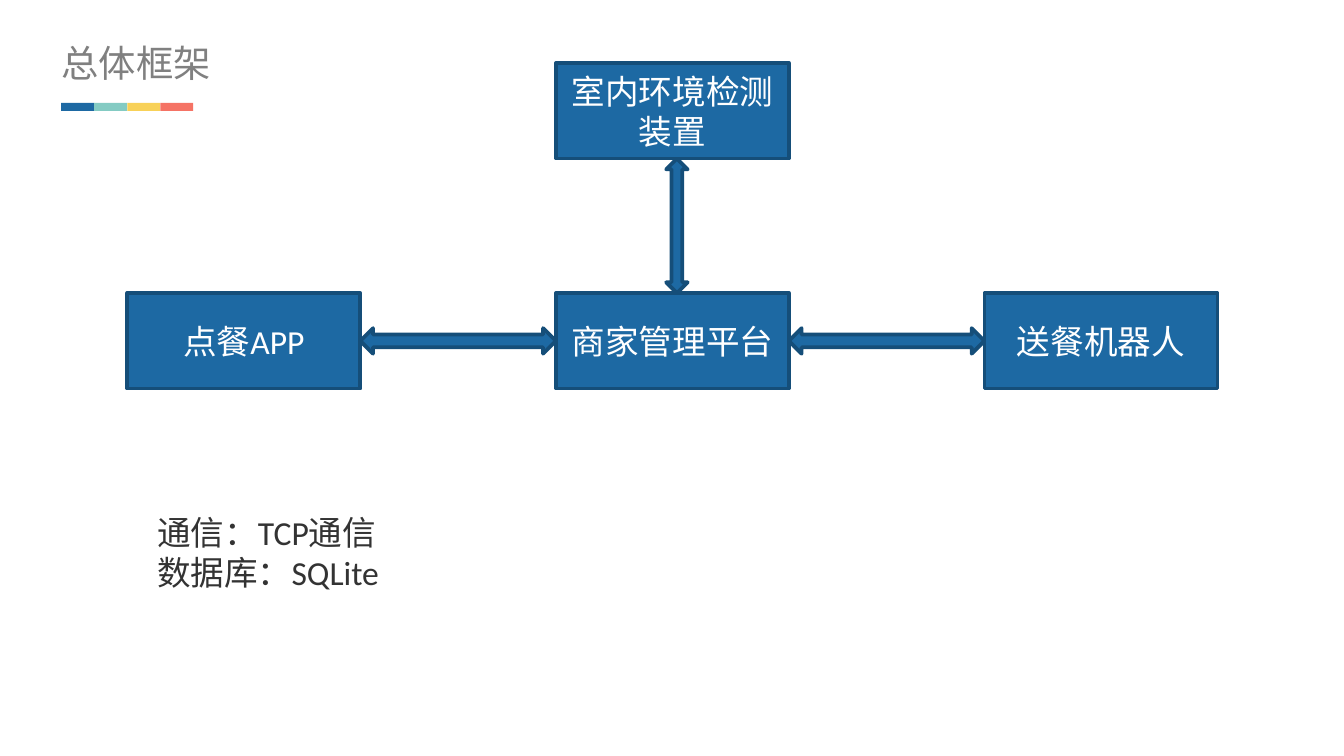
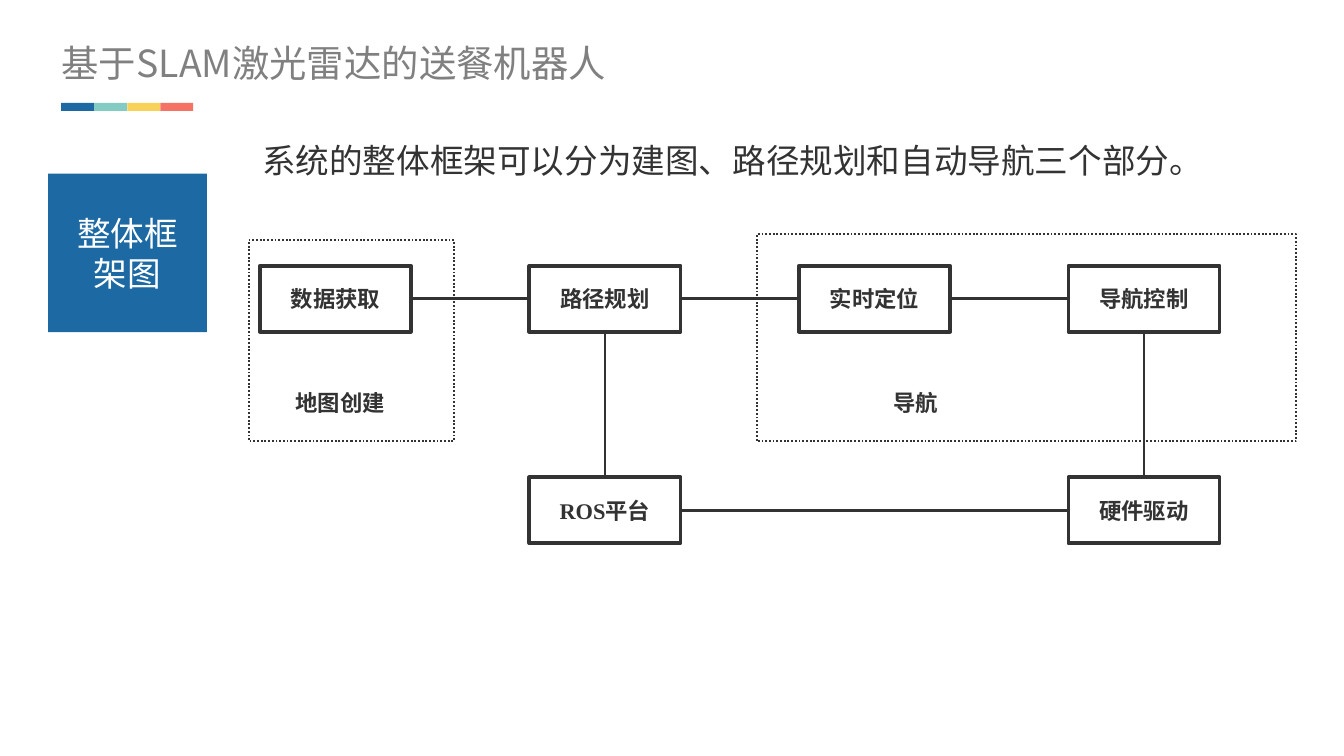
from dataclasses import dataclass

import pptx
import pptx.dml.color
import pptx.enum.dml
import pptx.enum.shapes
import pptx.enum.text
import pptx.oxml.xmlchemy
import pptx.util
from lxml import etree
from pptx.oxml import ns

Pt = pptx.util.Pt
SHAPE = pptx.enum.shapes.MSO_SHAPE
ALIGN = pptx.enum.text.PP_ALIGN
ANCHOR = pptx.enum.text.MSO_ANCHOR
TOP, LEFT, BOTTOM, RIGHT = range(4)


@dataclass(frozen=True)
class Theme:
    blue: str = "1D69A3"
    dark_blue: str = "154E79"
    white: str = "FFFFFF"
    text: str = "333333"
    connector: str = "323232"
    title: str = "808080"
    strip: tuple = ("1D69A3", "84CBC3", "F8D158", "F57365")
    title_size: float = 20
    body_size: float = 18
    node_size: float = 12
    title_font: str = "Noto Sans CJK SC"
    body_font: str = "Calibri"
    node_font: str = "Times New Roman"


THEME = Theme()


def color(value):
    return pptx.dml.color.RGBColor.from_string(value)


def write_text(shape, lines, size, value, font=THEME.body_font, bold=False,
               align=ALIGN.LEFT, anchor=ANCHOR.TOP):
    frame = shape.text_frame
    frame.text = "\n".join(lines)
    frame.word_wrap = True
    frame.auto_size = pptx.enum.text.MSO_AUTO_SIZE.NONE
    frame.vertical_anchor = anchor
    for paragraph in frame.paragraphs:
        paragraph.alignment = align
        paragraph.space_before = Pt(0)
        paragraph.font.name = font
        paragraph.font.size = Pt(size)
        paragraph.font.bold = bold
        paragraph.font.color.rgb = color(value)


def place(shape, left, top, width, height):
    shape.left, shape.top = Pt(left), Pt(top)
    shape.width, shape.height = Pt(width), Pt(height)


def add_block(shapes, kind, left, top, width, height, fill=None, line=None, weight=2):
    shape = shapes.add_shape(kind, Pt(left), Pt(top), Pt(width), Pt(height))
    shape.shadow.inherit = False
    if fill:
        shape.fill.solid()
        shape.fill.fore_color.rgb = color(fill)
    else:
        shape.fill.background()
    if line:
        shape.line.color.rgb = color(line)
        shape.line.width = Pt(weight)
    else:
        shape.line.fill.background()
    return shape


def add_blue_box(slide, text, left, top, width, height, line=None):
    box = add_block(slide.shapes, SHAPE.RECTANGLE, left, top, width, height, THEME.blue, line)
    write_text(box, [text], THEME.body_size, THEME.white,
               align=ALIGN.CENTER, anchor=ANCHOR.MIDDLE)


def add_arrow(slide, kind, left, top, width, height):
    add_block(slide.shapes, kind, left, top, width, height, THEME.blue, THEME.dark_blue)


def add_node(slide, text, left, top, width, height):
    node = add_block(slide.shapes, SHAPE.RECTANGLE, left, top, width, height,
                     THEME.white, THEME.text)
    write_text(node, [text], THEME.node_size, THEME.text, THEME.node_font, True,
               ALIGN.CENTER, ANCHOR.MIDDLE)
    return node


def add_link(slide, start, start_site, end, end_site):
    link = slide.shapes.add_connector(pptx.enum.shapes.MSO_CONNECTOR.STRAIGHT, 0, 0, 0, 0)
    link.begin_connect(start, start_site)
    link.end_connect(end, end_site)
    link.line.color.rgb = color(THEME.connector)
    link.line.width = Pt(1.5)
    properties = link._element.find(ns.qn("p:spPr"))
    etree.SubElement(properties, ns.qn("a:effectLst"))


def add_caption(slide, text, left, top):
    caption = slide.shapes.add_textbox(Pt(left), Pt(top), Pt(80.6), Pt(21.6))
    write_text(caption, [text], THEME.node_size, THEME.text, bold=True)


def add_dotted_frame(slide, left, top, width, height):
    frame = add_block(slide.shapes, SHAPE.RECTANGLE, left, top, width, height,
                      line=THEME.text, weight=1)
    frame.line.dash_style = pptx.enum.dml.MSO_LINE.ROUND_DOT


def add_color_strip(slide):
    group = slide.shapes.add_group_shape()
    step = 17.7
    for index, fill in enumerate(THEME.strip):
        add_block(group.shapes, SHAPE.RECTANGLE, 32.8 + index * step, 55.2, step, 4.3, fill)


def add_content_slide(presentation, title, lines, body_area):
    slide = presentation.slides.add_slide(presentation.slide_layouts[1])
    heading, body = slide.placeholders
    place(heading, 33, 21.6, 304.6, 24.5)
    write_text(heading, [title], THEME.title_size, THEME.title, THEME.title_font)
    frame = heading.text_frame
    frame.margin_left = frame.margin_right = frame.margin_top = frame.margin_bottom = 0
    place(body, *body_area)
    write_text(body, lines, THEME.body_size, THEME.text)
    for paragraph in body.text_frame.paragraphs:
        properties = paragraph._p.get_or_add_pPr()
        properties.set("marL", "0")
        properties.set("indent", "0")
        bullet = etree.Element(ns.qn("a:buNone"))
        properties.find(ns.qn("a:defRPr")).addprevious(bullet)
    add_color_strip(slide)
    return slide


def build_framework(presentation):
    slide = add_content_slide(presentation, "总体框架", ["通信：TCP通信", "数据库：SQLite"],
                              (77, 270.7, 509.8, 51.2))
    left, pitch, width, height = 68.2, 229.6, 124.8, 51.2
    upper, lower = 33.8, 157
    for column, text in enumerate(("点餐APP", "商家管理平台", "送餐机器人")):
        add_blue_box(slide, text, left + column * pitch, lower, width, height, THEME.dark_blue)
    add_blue_box(slide, "室内环境检测装置", left + pitch, upper, width, height, THEME.dark_blue)
    for column in range(2):
        add_arrow(slide, SHAPE.LEFT_RIGHT_ARROW, left + column * pitch + width, 175.8,
                  pitch - width, 13.7)
    add_arrow(slide, SHAPE.UP_DOWN_ARROW, 356.9, upper + height, 11.5, lower - upper - height)


def build_robot(presentation):
    slide = add_content_slide(presentation, "基于SLAM激光雷达的送餐机器人",
                              ["系统的整体框架可以分为建图、路径规划和自动导航三个部分。"],
                              (133.2, 71.3, 509, 28.8))
    left, pitch, width, height = 139.2, 144.4, 81, 35.3
    upper, lower = 142.4, 255.7
    steps = [add_node(slide, text, left + column * pitch, upper, width, height)
             for column, text in enumerate(("数据获取", "路径规划", "实时定位", "导航控制"))]
    platform, driver = [add_node(slide, text, left + column * pitch, lower, width, height)
                        for column, text in ((1, "ROS平台"), (3, "硬件驱动"))]
    for start, end in (*zip(steps, steps[1:]), (platform, driver)):
        add_link(slide, start, RIGHT, end, LEFT)
    for start, end in ((platform, steps[1]), (driver, steps[3])):
        add_link(slide, start, TOP, end, BOTTOM)
    add_caption(slide, "地图创建", 151.2, 205.2)
    add_caption(slide, "导航", 471.6, 205.2)
    add_blue_box(slide, "整体框架图", 25.8, 93, 85, 85)
    add_dotted_frame(slide, 133.2, 128.7, 110.2, 107.6)
    add_dotted_frame(slide, 405.4, 125.6, 288.9, 110.9)


def main():
    presentation = pptx.Presentation()
    presentation.slide_width, presentation.slide_height = Pt(720), Pt(405)
    build_framework(presentation)
    build_robot(presentation)
    presentation.save("out.pptx")


if __name__ == "__main__":
    main()
